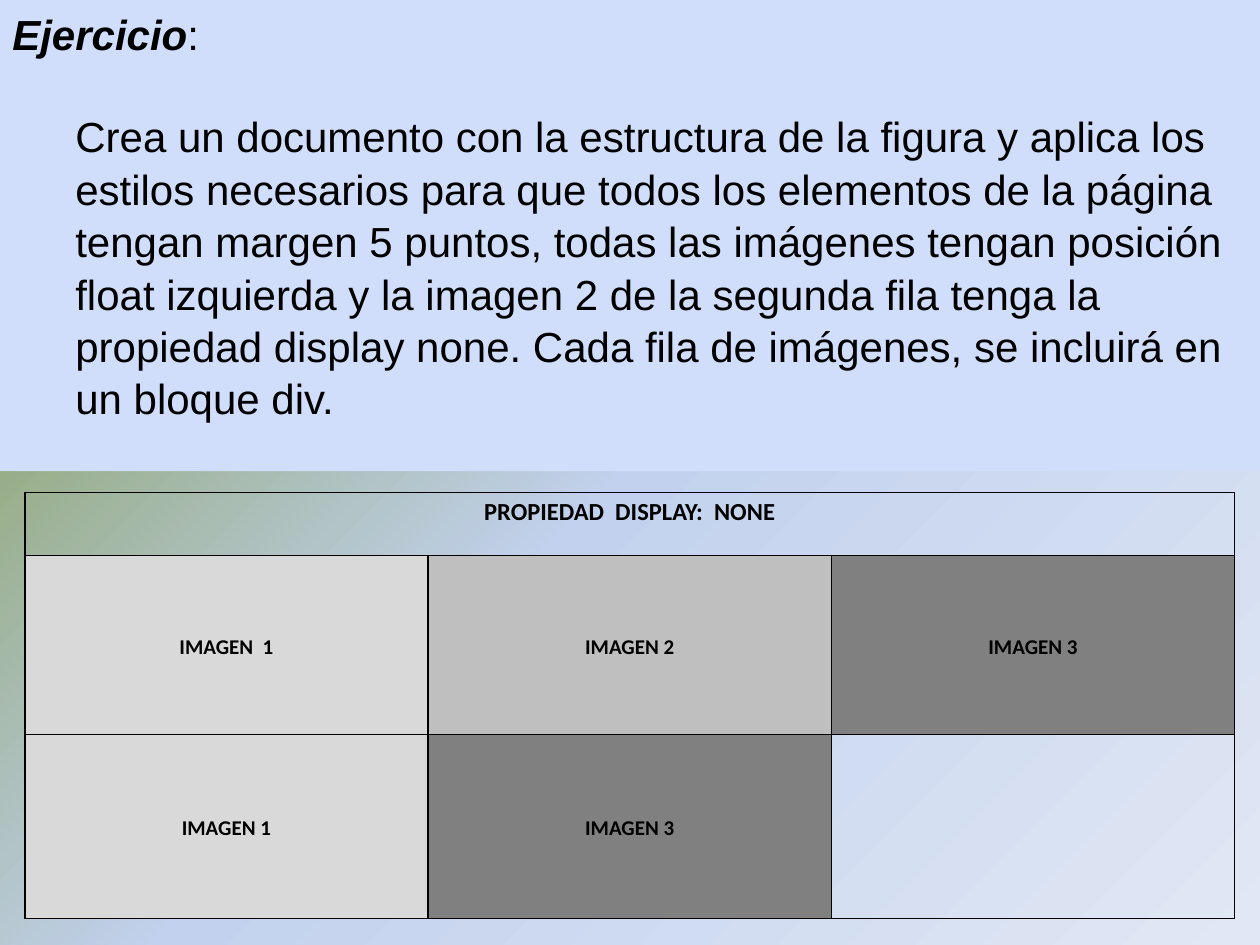
from copy import deepcopy
from dataclasses import dataclass

from lxml import etree
from pptx import Presentation
from pptx import util as u
from pptx.dml.color import RGBColor
from pptx.enum import shapes, text
from pptx.oxml.ns import qn


@dataclass(frozen=True)
class Theme:
    ink: str = "000000"
    panel: str = "D0DEFC"
    light: str = "D9D9D9"
    medium: str = "BFBFBF"
    dark: str = "808080"
    backdrop: tuple = ((0, "77933C"), (0.5, "C2D1ED"), (1, "E1E8F5"))
    body_font: str = "Arial"
    table_font: str = "Calibri"
    body_size: int = 24
    heading_size: int = 14
    cell_size: int = 12
    border: int = 1


THEME = Theme()
INSTRUCTIONS = (
    "Crea un documento con la estructura de la figura y aplica los estilos "
    "necesarios para que todos los elementos de la página tengan margen 5 puntos, "
    "todas las imágenes tengan posición float izquierda y la imagen 2 de la segunda "
    "fila tenga la propiedad display none. Cada fila de imágenes, se incluirá en "
    "un bloque div."
)
HEADING = "PROPIEDAD  DISPLAY:  NONE"
IMAGE_ROWS = (
    (("IMAGEN  1", THEME.light), ("IMAGEN 2", THEME.medium), ("IMAGEN 3", THEME.dark)),
    (("IMAGEN 1", THEME.light), ("IMAGEN 3", THEME.dark), ("", None)),
)


def rgb(color):
    return RGBColor.from_string(color)


def style_font(font, family, size, bold=False, italic=False):
    font.name = family
    font.size = u.Pt(size)
    font.bold = bold
    font.italic = italic
    font.color.rgb = rgb(THEME.ink)


def paint_background(slide):
    fill = slide.background.fill
    fill.gradient()
    fill.gradient_angle = 315
    stop_list = slide.element.find(".//" + qn("a:gsLst"))
    stop_list.append(deepcopy(stop_list[-1]))
    for stop, (position, color) in zip(fill.gradient_stops, THEME.backdrop):
        stop.position = position
        stop.color.rgb = rgb(color)


def add_exercise(slide):
    panel = slide.shapes.add_shape(
        shapes.MSO_SHAPE.RECTANGLE, 0, 0, u.Cm(25.4), u.Cm(9.5)
    )
    panel.shadow.inherit = False
    panel.fill.solid()
    panel.fill.fore_color.rgb = rgb(THEME.panel)
    panel.line.fill.background()

    frame = panel.text_frame
    frame.word_wrap = True
    frame.vertical_anchor = text.MSO_ANCHOR.TOP
    title = frame.paragraphs[0]
    for wording, emphasis in (("Ejercicio", True), (":", False)):
        run = title.add_run()
        run.text = wording
        style_font(run.font, THEME.body_font, THEME.body_size, emphasis, emphasis)

    instructions = frame.add_paragraph()
    instructions.text = INSTRUCTIONS
    instructions.space_before = u.Pt(28.8)
    properties = instructions._p.get_or_add_pPr()
    properties.set("marL", str(u.Cm(1.27)))
    properties.set("indent", "0")
    style_font(instructions.runs[0].font, THEME.body_font, THEME.body_size)

    for paragraph in frame.paragraphs:
        paragraph.alignment = text.PP_ALIGN.LEFT
        paragraph.line_spacing = 1.04


def add_borders(cell):
    properties = cell._tc.get_or_add_tcPr()
    for order, side in enumerate(("lnL", "lnR", "lnT", "lnB")):
        line = etree.Element(qn("a:" + side), w=str(u.Pt(THEME.border)))
        fill = etree.SubElement(line, qn("a:solidFill"))
        etree.SubElement(fill, qn("a:srgbClr"), val=THEME.ink)
        properties.insert(order, line)


def fill_cell(cell, wording, color, size, anchor):
    cell.margin_left = cell.margin_right = u.Cm(0.18)
    cell.margin_top = cell.margin_bottom = 0
    cell.vertical_anchor = anchor
    if color:
        cell.fill.solid()
        cell.fill.fore_color.rgb = rgb(color)
    else:
        cell.fill.background()
    if wording:
        paragraph = cell.text_frame.paragraphs[0]
        paragraph.text = wording
        paragraph.alignment = text.PP_ALIGN.CENTER
        paragraph.line_spacing = 1.15
        style_font(paragraph.runs[0].font, THEME.table_font, size, bold=True)
    add_borders(cell)


def add_layout_table(slide):
    row_heights = (1.27, 3.61, 3.71)
    table = slide.shapes.add_table(
        3, 3, u.Cm(0.5), u.Cm(9.93), u.Cm(24.4), u.Cm(sum(row_heights))
    ).table
    table.first_row = False
    table.horz_banding = False
    for column in table.columns:
        column.width = u.Cm(8.13)
    for row, height in zip(table.rows, row_heights):
        row.height = u.Cm(height)

    table.cell(0, 0).merge(table.cell(0, 2))
    for column, wording in enumerate((HEADING, "", "")):
        fill_cell(table.cell(0, column), wording, None,
                  THEME.heading_size, text.MSO_ANCHOR.TOP)
    for row, images in enumerate(IMAGE_ROWS, start=1):
        for column, (label, color) in enumerate(images):
            fill_cell(table.cell(row, column), label, color,
                      THEME.cell_size, text.MSO_ANCHOR.MIDDLE)


def main():
    deck = Presentation()
    deck.slide_width = u.Cm(25.4)
    deck.slide_height = u.Cm(19.05)
    slide = deck.slides.add_slide(deck.slide_layouts[6])
    paint_background(slide)
    add_exercise(slide)
    add_layout_table(slide)
    deck.save("out.pptx")


if __name__ == "__main__":
    main()
